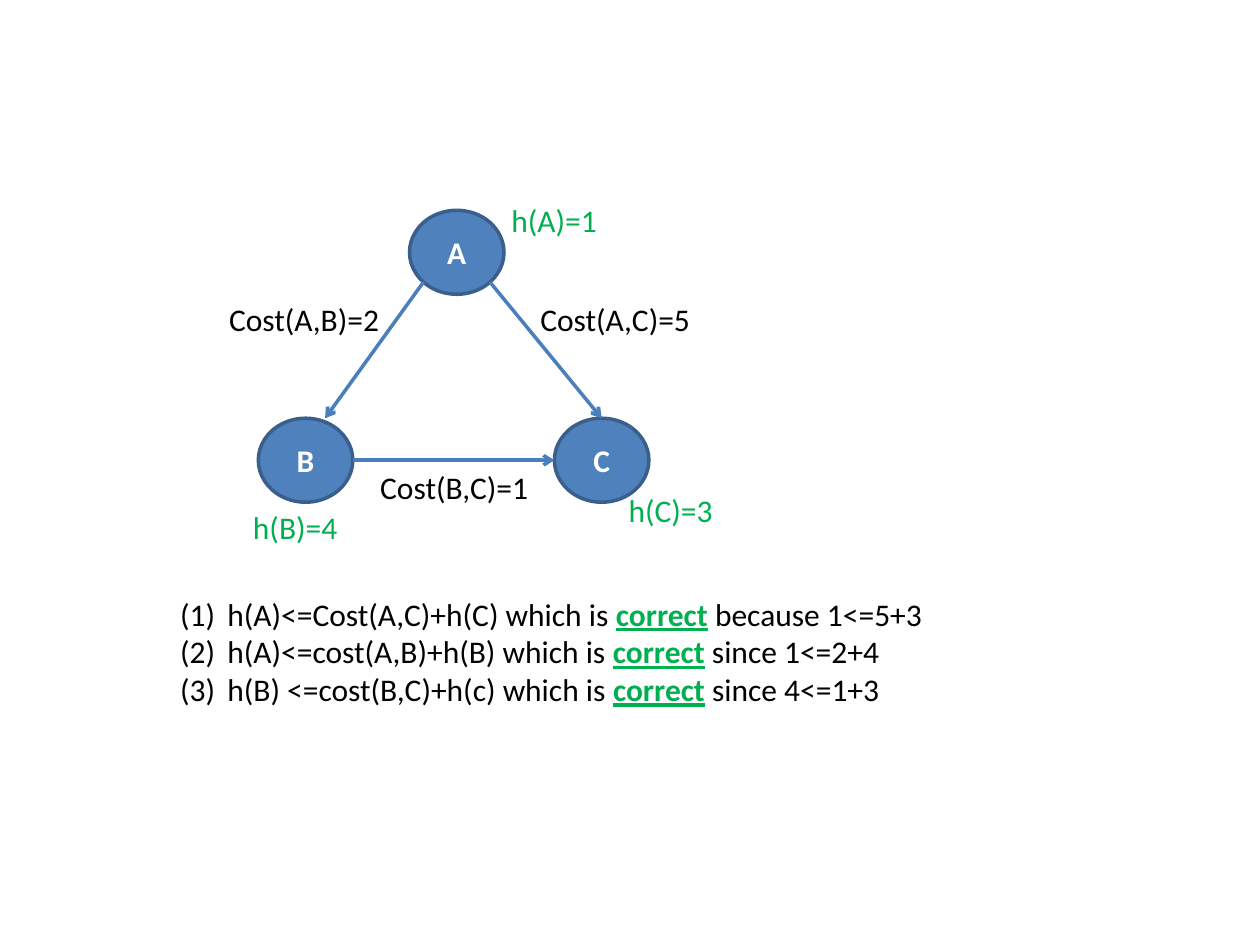
import lxml.etree
import pptx
import pptx.dml.color
import pptx.enum.shapes
import pptx.enum.text
import pptx.oxml.ns
import pptx.util

Pt = pptx.util.Pt
RGB = pptx.dml.color.RGBColor.from_string
qn = pptx.oxml.ns.qn

THEME = {
    "font": "Calibri", "size": 18, "text": "000000", "good": "00B050",
    "node": "4F81BD", "rim": "3A5F8C", "edge": "4B7EBC", "light": "FFFFFF",
    "line": 2,
}
NODE_W, NODE_H = 54, 48
LABEL_H = 28.8
INDENT = 27

# name: left, top
NODES = {"A": (234, 120.2), "B": (147.6, 239), "C": (316.8, 239)}

# start x, y, end x, y
EDGES = [
    (242, 161.2, 185.8, 239),
    (280, 161.2, 343.8, 239),
    (201.6, 263, 316.8, 263),
]

# text, left, top, width, colour
LABELS = [
    ("Cost(A,B)=2", 123.8, 167.8, 101.5, "text"),
    ("Cost(B,C)=1", 210.2, 264.2, 100, "text"),
    ("Cost(A,C)=5", 301.7, 167.8, 101, "text"),
    ("h(A)=1", 285.1, 111.6, 64, "good"),
    ("h(B)=4", 137.5, 286.6, 63.5, "good"),
    ("h(C)=3", 352.1, 277.2, 63.5, "good"),
]

CHECK_BOX = (95.8, 336.2, 442.8, 94.3)
# before and after the verdict
VERDICT = "correct"
CHECKS = [
    ("h(A)<=Cost(A,C)+h(C) which is ", " because 1<=5+3"),
    ("h(A)<=cost(A,B)+h(B) which is ", " since 1<=2+4"),
    ("h(B) <=cost(B,C)+h(c) which is ", " since 4<=1+3"),
]


def style(run, color, strong=False, under=False):
    font = run.font
    font.name = THEME["font"]
    font.size = Pt(THEME["size"])
    font.color.rgb = RGB(THEME[color])
    font.bold = strong
    font.underline = under


def add_node(slide, name, left, top):
    node = slide.shapes.add_shape(
        pptx.enum.shapes.MSO_SHAPE.OVAL,
        Pt(left), Pt(top), Pt(NODE_W), Pt(NODE_H))
    node.shadow.inherit = False
    node.fill.solid()
    node.fill.fore_color.rgb = RGB(THEME["node"])
    node.line.color.rgb = RGB(THEME["rim"])
    node.line.width = Pt(THEME["line"])
    frame = node.text_frame
    frame.text = name
    frame.vertical_anchor = pptx.enum.text.MSO_ANCHOR.MIDDLE
    para = frame.paragraphs[0]
    para.alignment = pptx.enum.text.PP_ALIGN.CENTER
    style(para.runs[0], "light", strong=True)


def add_edge(slide, ends):
    edge = slide.shapes.add_connector(
        pptx.enum.shapes.MSO_CONNECTOR.STRAIGHT, *map(Pt, ends))
    edge.line.color.rgb = RGB(THEME["edge"])
    edge.line.width = Pt(THEME["line"])
    props = edge.line._get_or_add_ln()
    lxml.etree.SubElement(props, qn("a:tailEnd"), type="arrow")
    lxml.etree.SubElement(edge._element.spPr, qn("a:effectLst"))


def add_text(slide, *box):
    frame = slide.shapes.add_textbox(*map(Pt, box)).text_frame
    frame.word_wrap = False
    frame.auto_size = pptx.enum.text.MSO_AUTO_SIZE.SHAPE_TO_FIT_TEXT
    return frame


def number(para):
    """Number the paragraph as (1), (2), ... with a hanging indent."""
    props = para._p.get_or_add_pPr()
    props.set("marL", str(Pt(INDENT)))
    props.set("indent", str(-Pt(INDENT)))
    lxml.etree.SubElement(props, qn("a:buFont"), typeface=THEME["font"])
    lxml.etree.SubElement(props, qn("a:buAutoNum"), type="arabicParenBoth")


def add_checks(slide):
    frame = add_text(slide, *CHECK_BOX)
    for i, (before, after) in enumerate(CHECKS):
        para = frame.add_paragraph() if i else frame.paragraphs[0]
        number(para)
        for part in (before, VERDICT, after):
            run = para.add_run()
            run.text = part
            good = part == VERDICT
            style(run, "good" if good else "text", good, good)


def main():
    deck = pptx.Presentation()
    deck.slide_width, deck.slide_height = Pt(720), Pt(540)
    slide = deck.slides.add_slide(deck.slide_layouts[6])
    for name, (left, top) in NODES.items():
        add_node(slide, name, left, top)
    for ends in EDGES:
        add_edge(slide, ends)
    for text, left, top, width, color in LABELS:
        frame = add_text(slide, left, top, width, LABEL_H)
        frame.text = text
        style(frame.paragraphs[0].runs[0], color)
    add_checks(slide)
    deck.save("out.pptx")


if __name__ == "__main__":
    main()
